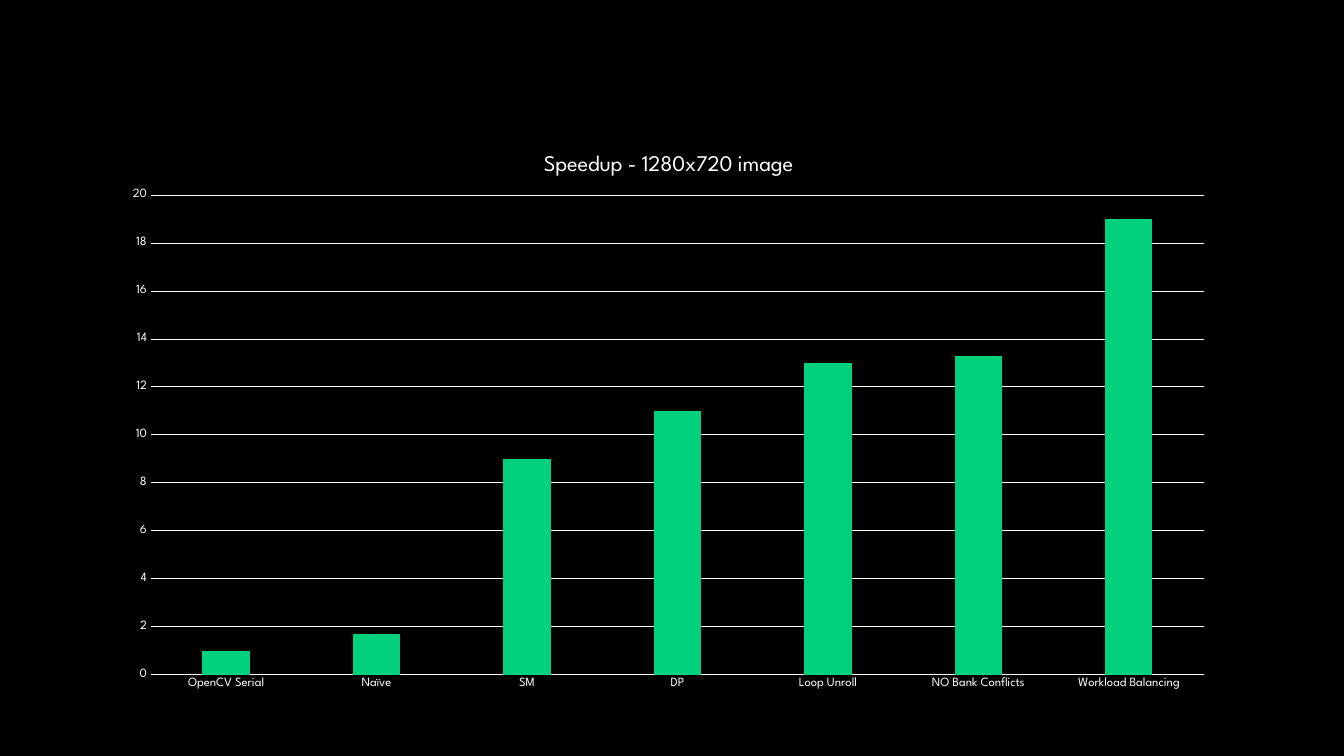
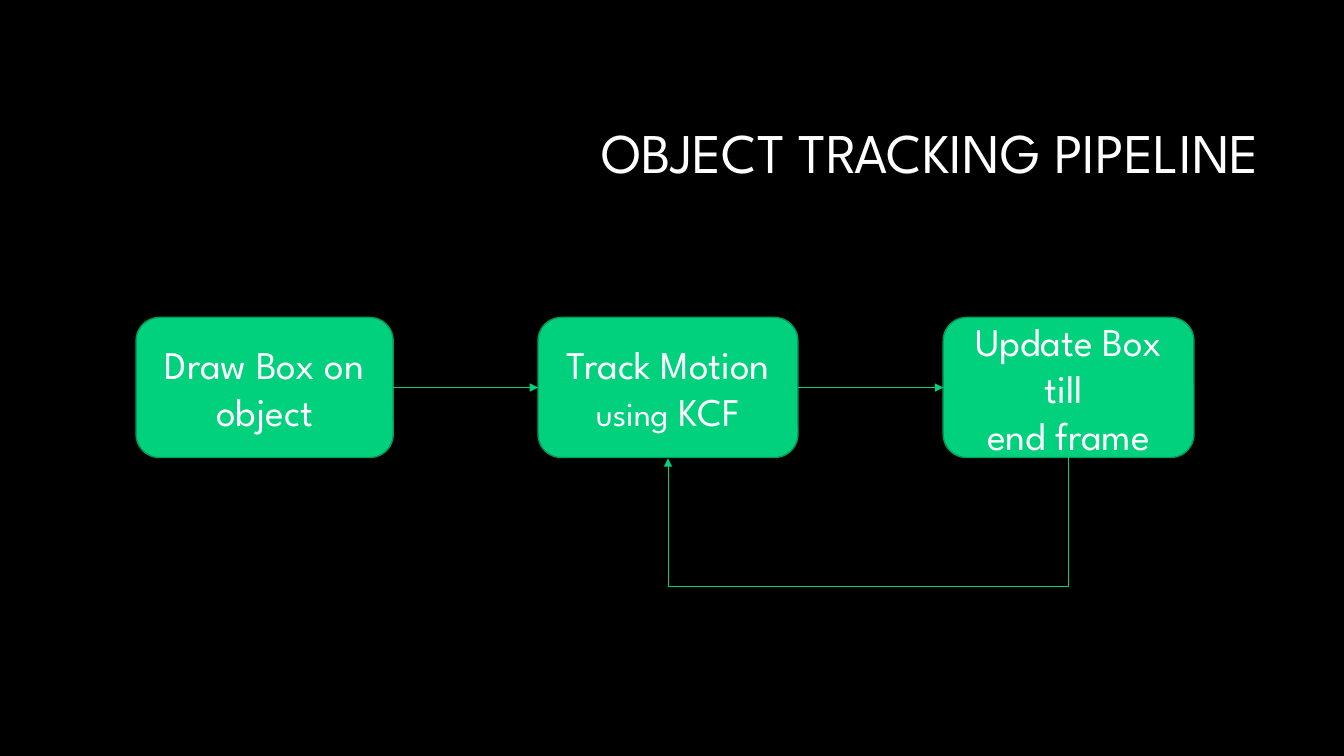
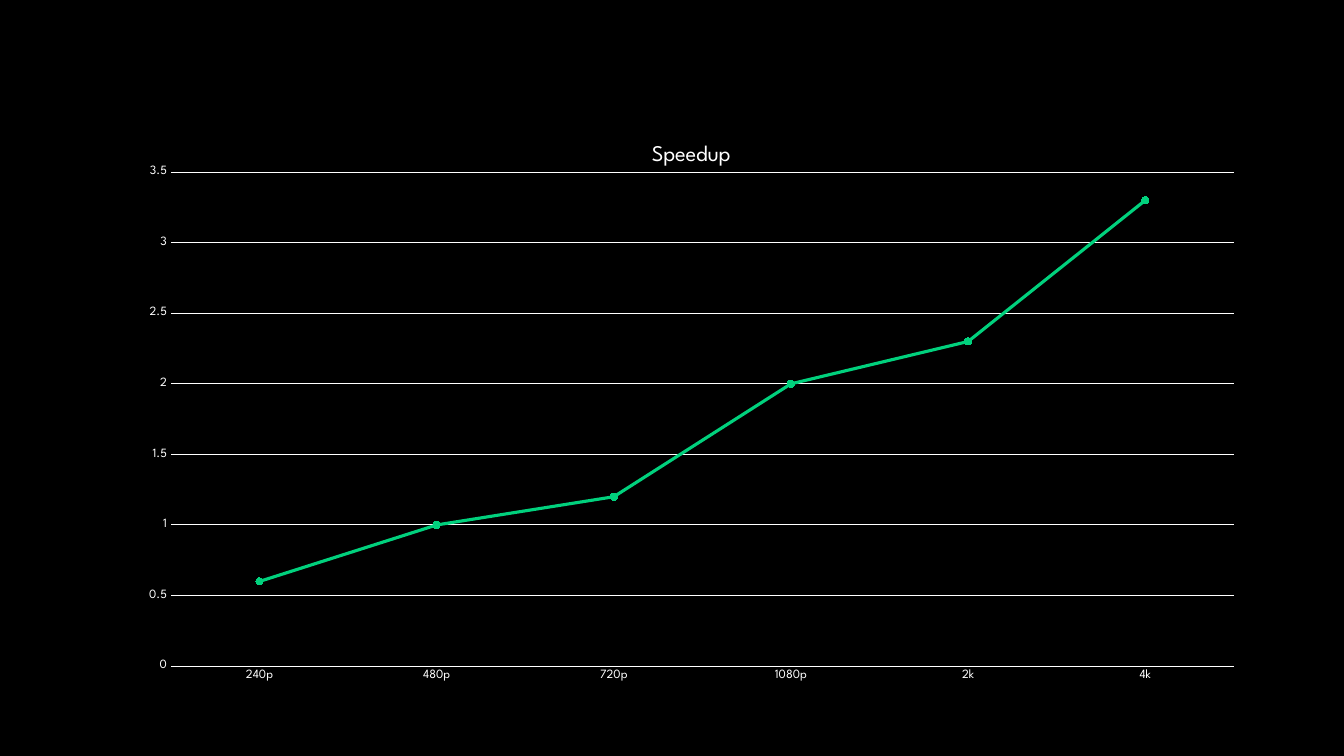
from lxml import etree
from pptx import Presentation
from pptx import util as u
from pptx.chart import data as cd
from pptx.dml import color as dc
from pptx.enum import chart as ch, shapes as sh, text as tx
from pptx.oxml import ns

FONT = "League Spartan"
WHITE, BLACK, GREEN, EDGE = "FFFFFF", "000000", "01D17D", "019B5C"
TOP, HIGH = 8, 3.53
DROP, THIN = 3.27, 0.04


def paint(fill, code):
    fill.solid()
    fill.fore_color.rgb = dc.RGBColor.from_string(code)


def stroke(line, code, width):
    paint(line.fill, code)
    line.width = u.Pt(width)


def style(font, size):
    font.name = FONT
    font.size = u.Pt(size)
    font.bold = False
    paint(font.fill, WHITE)


def write(frame, paras, align):
    frame.word_wrap = True
    frame.vertical_anchor = tx.MSO_ANCHOR.MIDDLE
    for i, runs in enumerate(paras):
        para = frame.add_paragraph() if i else frame.paragraphs[0]
        para.alignment = align
        for words, size in runs:
            run = para.add_run()
            run.text = words
            style(run.font, size)


def add_title(slide, words):
    box = slide.shapes.add_textbox(u.Cm(8.05), u.Cm(2.13), u.Cm(23.93), u.Cm(3.58))
    write(box.text_frame, [[(words, 40)]], tx.PP_ALIGN.RIGHT)
    box.text_frame.paragraphs[0].line_spacing = 0.9


def add_step(slide, left, width, paras):
    box = slide.shapes.add_shape(
        sh.MSO_SHAPE.ROUNDED_RECTANGLE, u.Cm(left), u.Cm(TOP), u.Cm(width), u.Cm(HIGH))
    box.shadow.inherit = False
    paint(box.fill, GREEN)
    stroke(box.line, EDGE, 1)
    write(box.text_frame, paras, tx.PP_ALIGN.CENTER)
    return box


def link(slide, kind, start, out, end, into):
    line = slide.shapes.add_connector(kind, 0, 0, 0, 0)
    line.begin_connect(start, out)
    line.end_connect(end, into)
    stroke(line.line, GREEN, 0.75)
    etree.SubElement(line.line._get_or_add_ln(), ns.qn("a:tailEnd"), type="triangle")
    etree.SubElement(line._element.spPr, ns.qn("a:effectLst"))
    return line


def loop_back(slide, start, end):
    line = link(slide, sh.MSO_CONNECTOR.ELBOW, start, 2, end, 2)
    right = start.left + start.width // 2
    left = end.left + end.width // 2
    span = right - left
    form = line._element.spPr.find(ns.qn("a:xfrm"))
    for flip in ("flipH", "flipV"):
        form.attrib.pop(flip, None)
    form.set("rot", "5400000")
    line.width, line.height = u.Cm(THIN), span
    line.left = (left + right - line.width) // 2
    line.top = u.Cm(TOP + HIGH) - span // 2
    geom = line._element.spPr.find(ns.qn("a:prstGeom"))
    guides = geom.find(ns.qn("a:avLst"))
    if guides is None:
        guides = etree.SubElement(geom, ns.qn("a:avLst"))
    ratio = round(DROP / THIN * 100000)
    etree.SubElement(guides, ns.qn("a:gd"), name="adj1", fmla=f"val {ratio}")


def place_plot(chart, place):
    area = chart._chartSpace.chart.plotArea
    for old in area.findall(ns.qn("c:layout")):
        area.remove(old)
    layout = etree.Element(ns.qn("c:layout"))
    manual = etree.SubElement(layout, ns.qn("c:manualLayout"))
    names = ("layoutTarget", "xMode", "yMode", "x", "y", "w", "h")
    for name, val in zip(names, ("inner", "edge", "edge", *place)):
        etree.SubElement(manual, ns.qn(f"c:{name}"), val=str(val))
    area.insert(0, layout)


def add_graph(slide, kind, rect, title, points, top, step, place):
    data = cd.CategoryChartData()
    data.categories = list(points)
    data.add_series("Series 1", list(points.values()))
    chart = slide.shapes.add_chart(kind, *map(u.Cm, rect), data).chart
    style(chart.font, 10)
    chart.has_legend = False
    chart.has_title = True
    run = chart.chart_title.text_frame.paragraphs[0].add_run()
    run.text = title
    style(run.font, 16)
    chart.chart_title.include_in_layout = False
    for axis in (chart.category_axis, chart.value_axis):
        axis.major_tick_mark = axis.minor_tick_mark = ch.XL_TICK_MARK.NONE
        style(axis.tick_labels.font, 9)
    stroke(chart.category_axis.format.line, WHITE, 0.75)
    scale = chart.value_axis
    scale.minimum_scale, scale.maximum_scale, scale.major_unit = 0, top, step
    scale.format.line.fill.background()
    scale.has_major_gridlines = True
    stroke(scale.major_gridlines.format.line, WHITE, 0.75)
    place_plot(chart, place)
    plot = chart.plots[0]
    plot.vary_by_categories = False
    return plot


def bar_slide(slide):
    points = {"OpenCV Serial": 1, "Naïve": 1.7, "SM": 9, "DP": 11,
              "Loop Unroll": 13, "NO Bank Conflicts": 13.3, "Workload Balancing": 19}
    plot = add_graph(slide, ch.XL_CHART_TYPE.COLUMN_CLUSTERED, (2.79, 3.33, 28.12, 14.33),
                     "Speedup - 1280x720 image", points, 20, 2, (0.036, 0.111, 0.944, 0.843))
    plot.gap_width, plot.overlap = 219, -27
    paint(plot.series[0].format.fill, GREEN)


def flow_slide(slide):
    add_title(slide, "OBJECT TRACKING PIPELINE")
    steps = [
        (3.43, 6.48, [[("Draw Box on object", 28)]]),
        (13.56, 6.55, [[("Track Motion ", 28), ("using", 24), (" KCF", 28)]]),
        (23.77, 6.32, [[("Update Box till ", 28)], [("end frame", 28)]]),
    ]
    boxes = [add_step(slide, *step) for step in steps]
    for start, end in zip(boxes, boxes[1:]):
        link(slide, sh.MSO_CONNECTOR.STRAIGHT, start, 3, end, 1)
    loop_back(slide, boxes[2], boxes[1])


def line_slide(slide):
    points = {"240p": 0.6, "480p": 1, "720p": 1.2, "1080p": 2, "2k": 2.3, "4k": 3.3}
    plot = add_graph(slide, ch.XL_CHART_TYPE.LINE_MARKERS, (3.35, 3.07, 28.14, 14.58),
                     "Speedup", points, 3.5, 0.5, (0.034, 0.087, 0.952, 0.854))
    trend = plot.series[0]
    trend.smooth = False
    stroke(trend.format.line, GREEN, 2.25)
    mark = trend.marker
    mark.style, mark.size = ch.XL_MARKER_STYLE.CIRCLE, 5
    paint(mark.format.fill, GREEN)
    stroke(mark.format.line, GREEN, 0.75)


def main():
    deck = Presentation()
    deck.slide_width, deck.slide_height = u.Cm(33.87), u.Cm(19.05)
    paint(deck.slide_master.background.fill, BLACK)
    for build in (bar_slide, flow_slide, line_slide):
        build(deck.slides.add_slide(deck.slide_layouts[6]))
    deck.save("out.pptx")


if __name__ == "__main__":
    main()
